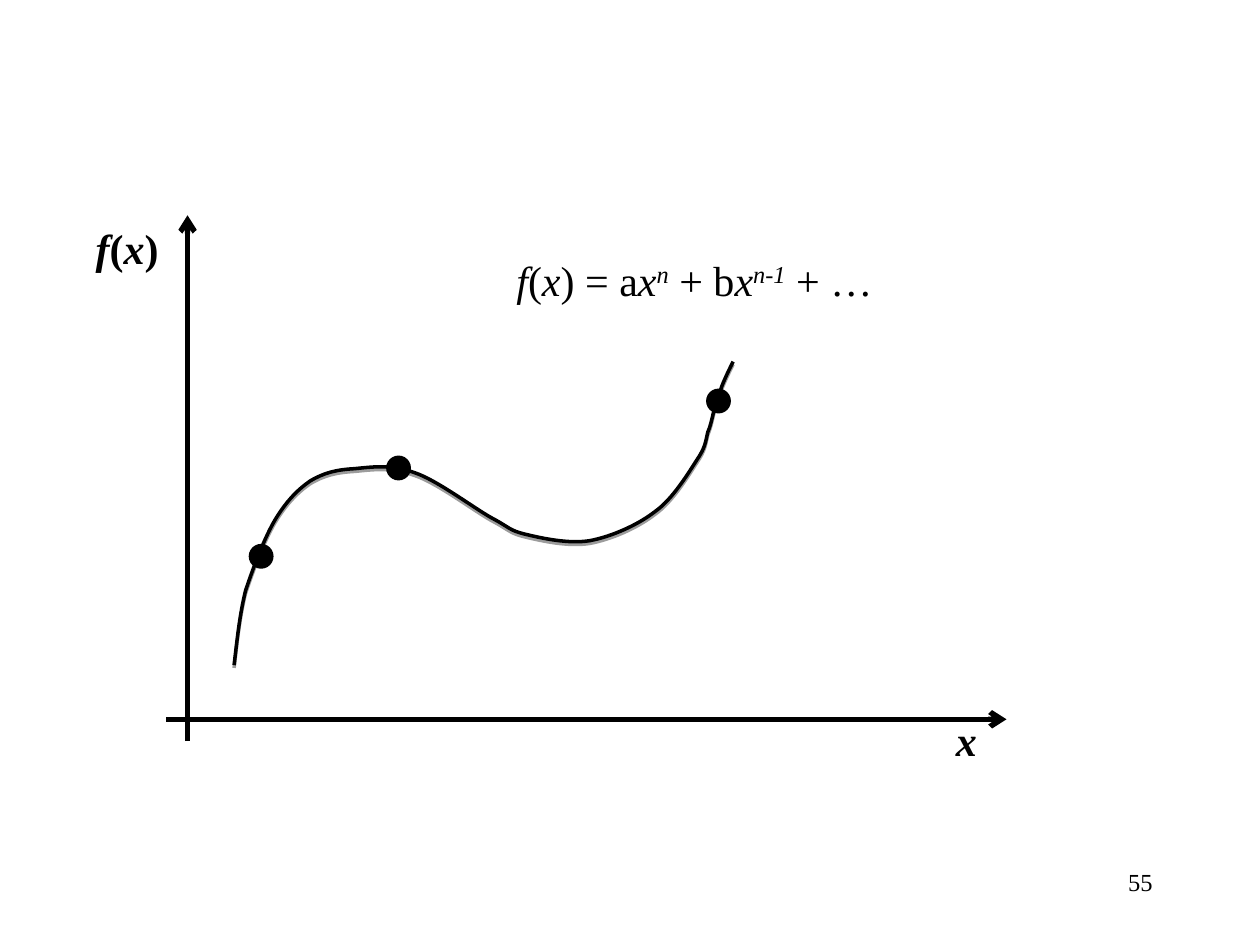
"""Build a slide that plots a polynomial curve through three points."""
from lxml.etree import SubElement as Sub
from pptx import Presentation
from pptx.dml.color import RGBColor as Rgb
from pptx.enum.shapes import MSO_CONNECTOR as Link, MSO_SHAPE as Kind
from pptx.enum.text import MSO_AUTO_SIZE as Fit, PP_ALIGN as Align
from pptx.oxml.ns import qn
from pptx.util import Cm, Pt

THEME = {"font": "Times New Roman", "ink": Rgb(0, 0, 0), "text": 24, "page": 14,
         "axis": 3, "curve": 2}

AXES = [(3.35, 14.5, 20.29, 14.5), (3.78, 14.94, 3.78, 4.34)]
START = (4.72, 13.41)
BENDS = [
    [(4.78, 12.9), (4.83, 12.4), (4.95, 11.91)],
    [(5.11, 11.43), (5.33, 10.85), (5.54, 10.49)],
    [(5.77, 10.11), (5.99, 9.88), (6.25, 9.7)],
    [(6.53, 9.53), (6.78, 9.47), (7.14, 9.45)],
    [(7.47, 9.42), (7.87, 9.35), (8.36, 9.53)],
    [(8.81, 9.68), (9.55, 10.24), (9.91, 10.44)],
    [(10.29, 10.64), (10.26, 10.69), (10.59, 10.77)],
    [(10.92, 10.85), (11.46, 10.97), (11.89, 10.9)],
    [(12.32, 10.82), (12.85, 10.59), (13.21, 10.31)],
    [(13.56, 10.06), (13.87, 9.55), (14.05, 9.27)],
    [(14.22, 9.02), (14.22, 8.92), (14.27, 8.71)],
    [(14.35, 8.53), (14.38, 8.28), (14.43, 8.15)],
    [(14.48, 8.0), (14.45, 7.98), (14.53, 7.85)],
    [(14.58, 7.7), (14.68, 7.49), (14.78, 7.29)],
]
DOTS = [(5.05, 11.0), (7.82, 9.22), (14.27, 7.87)]
DOT = 0.43

NAMES = [
    ((19.02, 14.27, 1.9, 1.27), [("x", "i")]),
    ((1.68, 4.37, 1.9, 1.27), [("f", "i"), ("(", ""), ("x", "i"), (")", "")]),
]
RULE = ((10.16, 5.0, 13.97, 1.27), [
    ("f", "i"), ("(", ""), ("x", "i"), (") = a", ""), ("x", "i"), ("n", "iu"),
    (" + b", ""), ("x", "i"), ("n-1", "iu"), (" + …", "")])
PAGE = ((18.21, 17.35, 5.28, 1.27), [("55", "")])


def ink(shape, width):
    shape.line.color.rgb = THEME["ink"]
    shape.line.width = Pt(width)


def add_axis(group, ends):
    axis = group.shapes.add_connector(Link.STRAIGHT, *map(Cm, ends))
    ink(axis, THEME["axis"])
    props = axis._element.spPr
    Sub(props.find(qn("a:ln")), qn("a:tailEnd"), type="arrow")
    Sub(props, qn("a:effectLst"))


def add_curve(group):
    pen = group.shapes.build_freeform(Cm(START[0]), Cm(START[1]))
    pen.add_line_segments([(Cm(x), Cm(y)) for bend in BENDS for x, y in bend], close=False)
    curve = pen.convert_to_shape()
    curve.fill.background()
    ink(curve, THEME["curve"])
    curve.shadow.inherit = False
    props = curve._element.spPr
    steps = list(props.iter(qn("a:lnTo")))
    for i in range(0, len(steps), 3):
        trio = steps[i:i + 3]
        home = trio[0].getparent()
        cubic = Sub(home, qn("a:cubicBezTo"))
        for step in trio:
            cubic.append(step[0])
            home.remove(step)
    shade = Sub(props.find(qn("a:effectLst")), qn("a:outerShdw"), blurRad="0",
                dist=str(Pt(1.6)), dir="5400000", rotWithShape="0")
    tone = Sub(shade, qn("a:srgbClr"), val=str(THEME["ink"]))
    Sub(tone, qn("a:alpha"), val="38000")


def add_dot(group, x, y):
    dot = group.shapes.add_shape(Kind.FLOWCHART_CONNECTOR, Cm(x), Cm(y), Cm(DOT), Cm(DOT))
    dot.fill.solid()
    dot.fill.fore_color.rgb = THEME["ink"]
    ink(dot, THEME["curve"])
    dot.shadow.inherit = False


def add_text(host, place, parts, size="text", bold=False, align=Align.LEFT, fit=Fit.SHAPE_TO_FIT_TEXT):
    frame = host.shapes.add_textbox(*map(Cm, place)).text_frame
    frame.word_wrap = True
    frame.auto_size = fit
    para = frame.paragraphs[0]
    para.alignment = align
    font = para.font
    font.name, font.size, font.bold = THEME["font"], Pt(THEME[size]), bold
    font.color.rgb = THEME["ink"]
    for words, style in parts:
        run = para.add_run()
        run.text = words
        run.font.italic = "i" in style
        if "u" in style:
            run.font._element.set("baseline", "30000")


def main():
    deck = Presentation()
    deck.slide_width, deck.slide_height = Cm(25.4), Cm(19.05)
    slide = deck.slides.add_slide(deck.slide_layouts[6])
    graph = slide.shapes.add_group_shape()
    for ends in AXES:
        add_axis(graph, ends)
    for place, parts in NAMES:
        add_text(graph, place, parts, bold=True)
    add_curve(graph)
    for x, y in DOTS:
        add_dot(graph, x, y)
    add_text(slide, *RULE)
    add_text(slide, *PAGE, size="page", align=Align.RIGHT, fit=Fit.NONE)
    deck.save("out.pptx")


if __name__ == "__main__":
    main()
